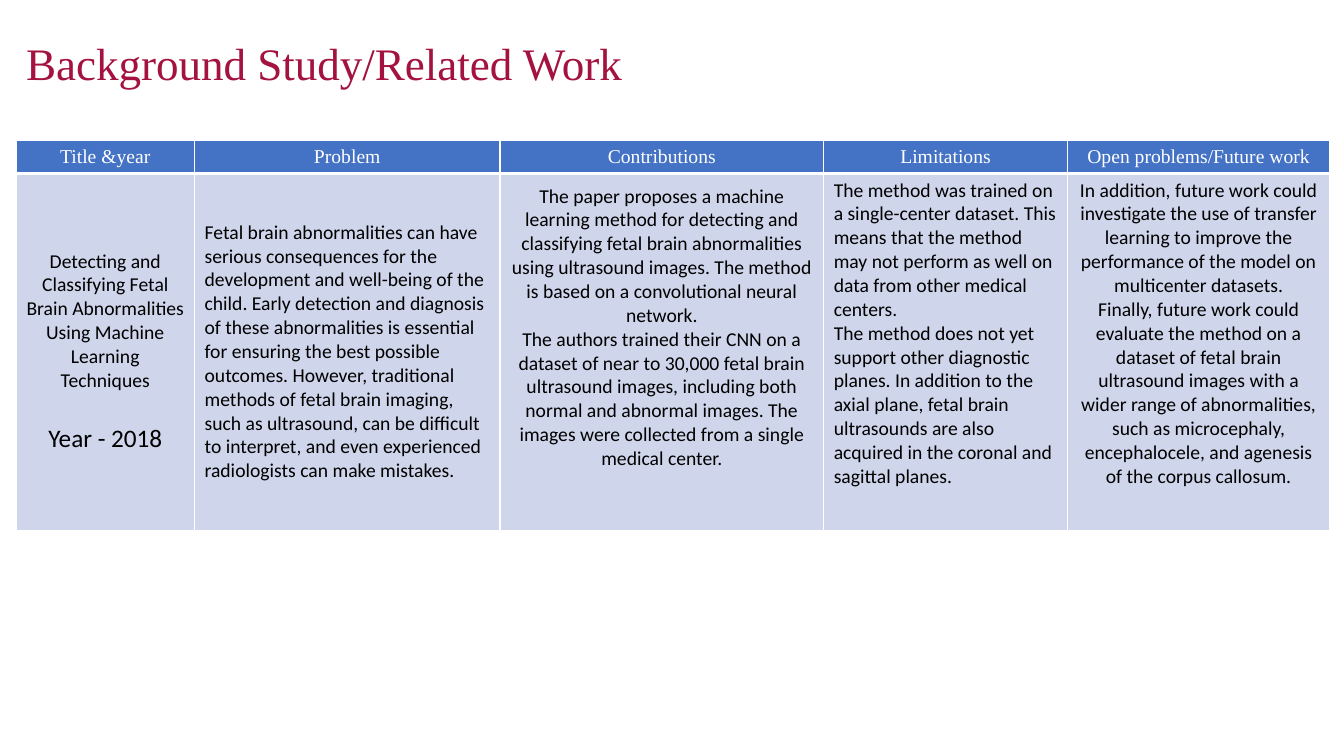
from lxml import etree
from pptx import Presentation
from pptx.dml.color import RGBColor
from pptx.enum.text import MSO_ANCHOR as Anchor, PP_ALIGN as Align
from pptx.oxml.ns import qn
from pptx.util import Inches, Pt

SERIF, SANS = "Times New Roman", "Calibri"
CRIMSON, WHITE, BLACK = "A4123F", "FFFFFF", "000000"
HEADER_FILL, BODY_FILL = "4472C4", "CFD5EA"

COLUMN_WIDTHS = [1.77, 3.03, 3.21, 2.42, 2.6]
ROW_HEIGHTS = [0.33, 3.54]
HEADINGS = ["Title &year", "Problem", "Contributions", "Limitations", "Open problems/Future work"]

# Each study cell: paragraphs, alignment, anchor, bottom margin in inches
STUDY = [
    (["Detecting and Classifying Fetal Brain Abnormalities Using Machine Learning Techniques",
      "Year - 2018"], Align.CENTER, Anchor.MIDDLE, 0.05),
    (["Fetal brain abnormalities can have serious consequences for the development and "
      "well-being of the child. Early detection and diagnosis of these abnormalities is "
      "essential for ensuring the best possible outcomes. However, traditional methods of "
      "fetal brain imaging, such as ultrasound, can be difficult to interpret, and even "
      "experienced radiologists can make mistakes."], Align.LEFT, Anchor.MIDDLE, 0.05),
    (["The paper proposes a machine learning method for detecting and classifying fetal brain "
      "abnormalities using ultrasound images. The method is based on a convolutional neural "
      "network.",
      "The authors trained their CNN on a dataset of near to 30,000 fetal brain ultrasound "
      "images, including both normal and abnormal images. The images were collected from a "
      "single medical center."], Align.CENTER, Anchor.MIDDLE, 0.53),
    (["The method was trained on a single-center dataset. This means that the method may not "
      "perform as well on data from other medical centers.",
      "The method does not yet support other diagnostic planes. In addition to the axial plane, "
      "fetal brain ultrasounds are also acquired in the coronal and sagittal planes."],
     Align.LEFT, Anchor.TOP, 0.05),
    (["In addition, future work could investigate the use of transfer learning to improve the "
      "performance of the model on multicenter datasets.",
      "Finally, future work could evaluate the method on a dataset of fetal brain ultrasound "
      "images with a wider range of abnormalities, such as microcephaly, encephalocele, and "
      "agenesis of the corpus callosum."], Align.CENTER, Anchor.TOP, 0.05),
]


def rgb(color):
    return RGBColor.from_string(color)


def add_run(paragraph, text, size, font, color):
    run = paragraph.add_run()
    run.text = text
    run.font.size = Pt(size)
    run.font.name = font
    run.font.color.rgb = rgb(color)


def set_borders(cell, widths):
    """Draw white borders; widths are points for left, right, top and bottom."""
    properties = cell._tc.get_or_add_tcPr()
    for position, (side, width) in enumerate(zip("LRTB", widths)):
        border = etree.Element(qn(f"a:ln{side}"), w=str(Pt(width)))
        fill = etree.SubElement(border, qn("a:solidFill"))
        etree.SubElement(fill, qn("a:srgbClr"), val=WHITE)
        properties.insert(position, border)


def fill_cell(cell, paragraphs, align, anchor, bottom, font, color, background, borders):
    cell.fill.solid()
    cell.fill.fore_color.rgb = rgb(background)
    set_borders(cell, borders)
    cell.vertical_anchor = anchor
    cell.margin_bottom = Inches(bottom)
    frame = cell.text_frame
    for index, text in enumerate(paragraphs):
        paragraph = frame.add_paragraph() if index else frame.paragraphs[0]
        paragraph.alignment = align
        is_year = text.startswith("Year")
        if is_year:
            paragraph.space_before = Pt(22)
        add_run(paragraph, text, 18 if is_year else 14, font, color)


def add_title(slide, text):
    box = slide.shapes.add_textbox(Inches(0.16), Inches(0.26), Inches(6.68), Inches(0.71))
    frame = box.text_frame
    frame.word_wrap = True
    frame.vertical_anchor = Anchor.MIDDLE
    add_run(frame.paragraphs[0], text, 32.2, SERIF, CRIMSON)


def add_study_table(slide):
    table = slide.shapes.add_table(
        len(ROW_HEIGHTS), len(COLUMN_WIDTHS), Inches(0.16), Inches(1.39),
        Inches(sum(COLUMN_WIDTHS)), Inches(sum(ROW_HEIGHTS))).table
    for row, height in zip(table.rows, ROW_HEIGHTS):
        row.height = Inches(height)
    for index, (width, heading, study) in enumerate(zip(COLUMN_WIDTHS, HEADINGS, STUDY)):
        table.columns[index].width = Inches(width)
        fill_cell(table.cell(0, index), [heading], Align.CENTER, Anchor.MIDDLE, 0.05,
                  SERIF, WHITE, HEADER_FILL, (1, 1, 1, 3))
        fill_cell(table.cell(1, index), *study, SANS, BLACK, BODY_FILL, (1, 1, 3, 1))


def main():
    deck = Presentation()
    deck.slide_width, deck.slide_height = Inches(13.33), Inches(7.5)
    slide = deck.slides.add_slide(deck.slide_layouts[6])
    add_study_table(slide)
    add_title(slide, "Background Study/Related Work")
    deck.save("out.pptx")


if __name__ == "__main__":
    main()
